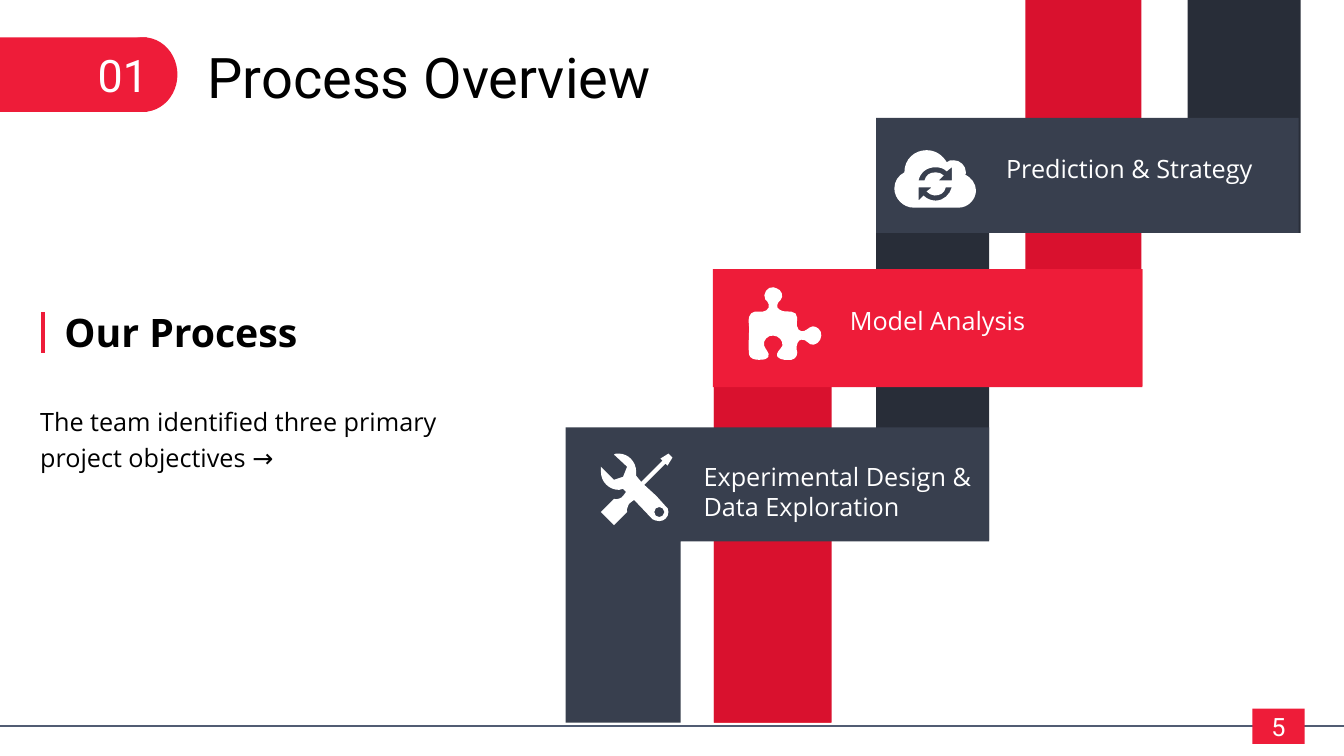
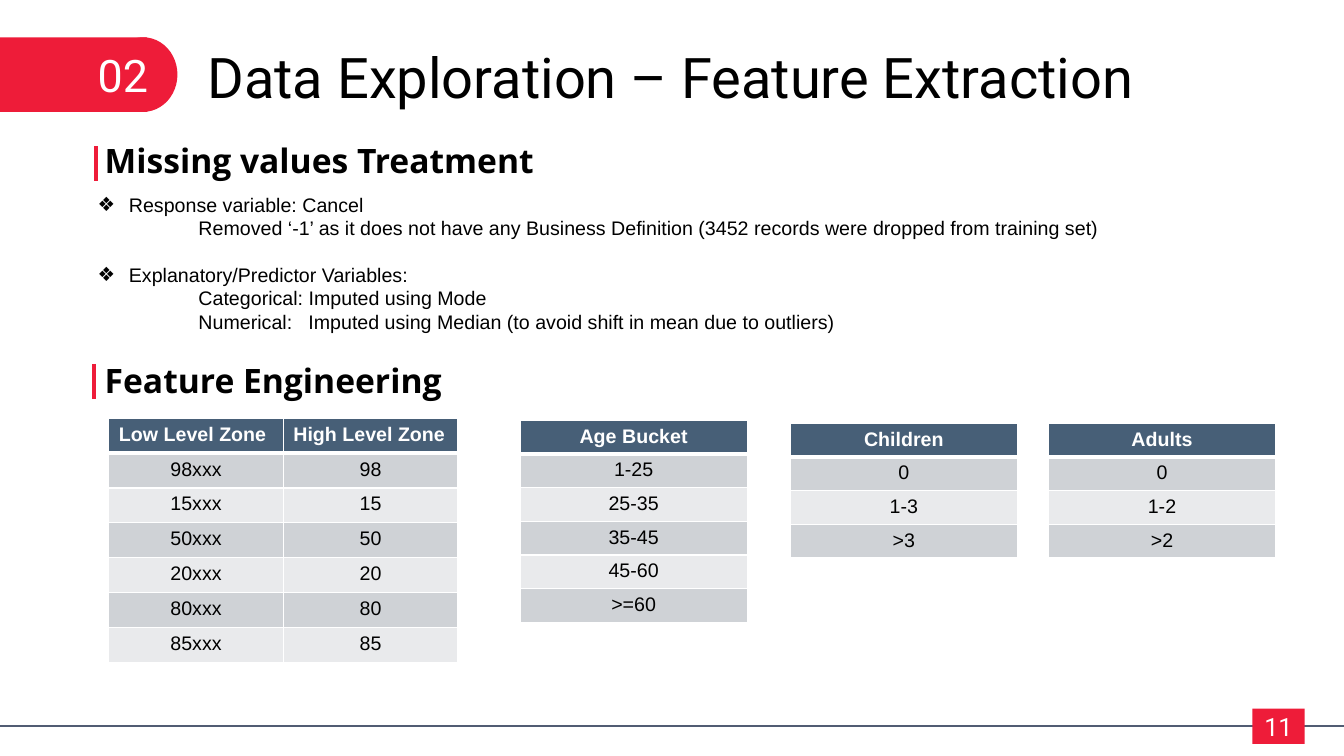
from lxml.etree import SubElement
from pptx import Presentation
from pptx.dml.color import RGBColor
from pptx.enum.shapes import MSO_CONNECTOR, MSO_SHAPE
from pptx.enum.text import MSO_ANCHOR, PP_ALIGN
from pptx.oxml.ns import qn
from pptx.util import Inches, Pt

RED = RGBColor(0xEE, 0x1C, 0x39)
CRIMSON = RGBColor(0xD9, 0x11, 0x2E)
SCARLET = RGBColor(0xE8, 0x2C, 0x2A)
SLATE = RGBColor(0x38, 0x3F, 0x4E)
NIGHT = RGBColor(0x28, 0x2D, 0x38)
RULE = RGBColor(0x51, 0x5C, 0x73)
HEAD = RGBColor(0x47, 0x5F, 0x77)
BANDS = RGBColor(0xCF, 0xD2, 0xD6), RGBColor(0xE9, 0xEA, 0xEC)
WHITE = RGBColor(255, 255, 255)
BLACK = RGBColor(0, 0, 0)
TITLE, BODY, PLAIN = "Roboto", "Open Sans", "Arial"
WIDE, HIGH = 13.33, 7.5

# Staircase, back to front: left, top, width, height, colour;
# an elbow adds the thickness of its upright and of its top arm
STAIRS = [
    (10.17, -0.03, 1.15, 3.86, CRIMSON),
    (7.08, 2.67, 4.25, 4.5, SCARLET, 1.16, 1.16),
    (7.08, 2.67, 1.17, 4.5, CRIMSON),
    (8.69, 1.18, 1.12, 4.18, NIGHT),
    (5.61, 4.24, 4.2, 2.93, SLATE, 1.14, 1.13),
    (11.78, -0.03, 1.12, 2.34, NIGHT),
    (8.69, 1.17, 4.19, 1.14, SLATE),
    (7.07, 2.67, 4.26, 1.17, RED),
]

# Icon outlines in hundredths of an inch: pairs are lines, sixes are curves
CLOUD = [
    [(32, 0), (20, 0, 10, 9, 10, 22), (4, 25, 0, 31, 0, 38),
     (0, 48, 9, 57, 19, 57), (64, 57), (73, 57, 81, 49, 81, 40),
     (81, 33, 76, 27, 70, 24), (71, 24, 71, 23, 71, 22),
     (71, 15, 65, 10, 59, 10), (56, 10, 54, 10, 52, 12),
     (48, 5, 41, 0, 32, 0)],
    [(41, 17), (45, 17, 49, 18, 52, 21), (57, 17), (57, 30), (44, 30),
     (49, 25), (47, 23, 44, 22, 41, 22), (35, 22, 31, 25, 30, 30),
     (24, 30), (26, 22, 32, 17, 41, 17)],
    [(24, 37), (37, 37), (32, 41), (34, 43, 37, 45, 40, 45),
     (46, 45, 50, 42, 51, 37), (57, 37), (55, 44, 49, 50, 41, 50),
     (36, 50, 32, 48, 29, 45), (24, 50)],
]
PUZZLE = [
    [(26, 1), (20, 0, 15, 8, 18, 13), (21, 15, 24, 21, 19, 24),
     (15, 27, 8, 23, 4, 27), (0, 31, 2, 37, 2, 41), (2, 50, 1, 59, 2, 68),
     (3, 72, 8, 73, 12, 73), (15, 73, 19, 73, 21, 70),
     (23, 66, 18, 63, 17, 59), (15, 54, 21, 48, 26, 49),
     (31, 49, 36, 54, 35, 59), (33, 63, 28, 66, 30, 70),
     (34, 74, 40, 73, 44, 73), (49, 72, 51, 67, 49, 62),
     (49, 59, 50, 53, 54, 53), (59, 52, 61, 59, 66, 58),
     (72, 57, 75, 50, 73, 45), (71, 41, 66, 38, 62, 41),
     (59, 43, 55, 47, 51, 43), (47, 38, 52, 32, 48, 27),
     (43, 23, 36, 27, 32, 23), (28, 21, 30, 16, 33, 14),
     (37, 10, 34, 3, 29, 2), (28, 1, 27, 1, 26, 1)],
]
TOOLS = [
    [(15, 0), (13, 1), (26, 13), (22, 23), (13, 26), (0, 13), (0, 18),
     (0, 28, 8, 36, 18, 36), (22, 35), (25, 38), (22, 42),
     (21, 44, 16, 46, 13, 45), (0, 58), (13, 71), (26, 58),
     (25, 56, 26, 55, 27, 52), (27, 50, 30, 48, 33, 46), (51, 65),
     (53, 66, 55, 67, 58, 67), (63, 67, 67, 63, 67, 58),
     (67, 55, 66, 53, 64, 52), (55, 42), (43, 31), (64, 10), (66, 12),
     (71, 4), (67, 0), (59, 5), (61, 7), (40, 28), (35, 22), (35, 18),
     (35, 8, 27, 0, 18, 0)],
    [(58, 53), (60, 53, 63, 55, 63, 58), (63, 61, 60, 63, 58, 63),
     (55, 63, 53, 61, 53, 58), (53, 55, 55, 53, 58, 53)],
]

# Label, its left and top, icon, its left and top
STEPS = [
    ("Experimental Design & Data Exploration", 6.88, 4.53, TOOLS, 5.96, 4.5),
    ("Model Analysis", 8.33, 2.98, PUZZLE, 7.41, 2.84),
    ("Prediction & Strategy", 9.88, 1.47, CLOUD, 8.87, 1.49),
]

NOTES = [
    ("Response variable: Cancel",
     ["Removed ‘-1’ as it does not have any Business Definition "
      "(3452 records were dropped from training set)"]),
    ("Explanatory/Predictor Variables:",
     ["Categorical: Imputed using Mode",
      "Numerical:\tImputed using Median (to avoid shift in mean due to outliers)"]),
]
TABS = 1, 2.09

# Left, top, column width, full height, rows
TABLES = [
    (1.08, 4.15, 1.73, 2.42,
     [("Low Level Zone", "High Level Zone")]
     + [(zone + "xxx", zone) for zone in ("98", "15", "50", "20", "80", "85")]),
    (5.16, 4.17, 2.25, 2,
     [("Age Bucket",), ("1-25",), ("25-35",), ("35-45",), ("45-60",), (">=60",)]),
    (7.84, 4.2, 2.25, 1.33, [("Children",), ("0",), ("1-3",), (">3",)]),
    (10.4, 4.2, 2.25, 1.33, [("Adults",), ("0",), ("1-2",), (">2",)]),
]


def paint(shape, color):
    shape.shadow.inherit = False
    shape.fill.solid()
    shape.fill.fore_color.rgb = color
    shape.line.fill.background()
    return shape


def block(slide, kind, box, color):
    return paint(slide.shapes.add_shape(kind, *map(Inches, box)), color)


def style(para, size, font, color=BLACK, bold=False):
    for run in para.runs:
        run.font.size, run.font.name, run.font.bold = Pt(size), font, bold
        run.font.color.rgb = color


def label(slide, box, text, size, font, color=BLACK, bold=False):
    frame = slide.shapes.add_textbox(*map(Inches, box)).text_frame
    frame.word_wrap = True
    frame.text = text
    style(frame.paragraphs[0], size, font, color, bold)
    return frame


def rule(slide, ends, color, width):
    line = slide.shapes.add_connector(MSO_CONNECTOR.STRAIGHT, *map(Inches, ends))
    line.line.color.rgb, line.line.width = color, Pt(width)
    SubElement(line._element.spPr, qn("a:effectLst"))


def heading(slide, box, text, size, bar, start, end):
    label(slide, box, text, size, BODY, bold=True)
    rule(slide, (bar, start, bar, end), RED, 3)


def base(deck, number, title, page):
    """Add a slide with the badge, title, footer rule and page number."""
    slide = deck.slides.add_slide(deck.slide_layouts[6])
    rule(slide, (-0.02, 7.2, WIDE, 7.2), RULE, 1.5)
    # A rounded-end badge: a bar plus a disc
    block(slide, MSO_SHAPE.RECTANGLE, (-0.02, 0.37, 1.48, 0.74), RED)
    block(slide, MSO_SHAPE.OVAL, (1.08, 0.37, 0.68, 0.74), RED)
    label(slide, (0.87, 0.42, 1.25, 0.64), number, 32, TITLE, WHITE)
    frame = block(slide, MSO_SHAPE.RECTANGLE, (12.42, 7.03, 0.52, 0.35), RED).text_frame
    frame.text = page
    frame.vertical_anchor = MSO_ANCHOR.MIDDLE
    frame.paragraphs[0].alignment = PP_ALIGN.CENTER
    style(frame.paragraphs[0], 18, TITLE, WHITE)
    label(slide, (1.96, 0.37, 9.78, 0.77), title, 40, TITLE)
    return slide


def elbow(slide, box, color, upright, arm):
    """Draw an L turned so that its upright is left and its arm on top."""
    left, top, width, height = box
    shift = (width - height) / 2
    turned = left + shift, top - shift, height, width
    shape = block(slide, MSO_SHAPE.CORNER, turned, color)
    shape.rotation = 90
    short = min(width, height)
    shape.adjustments[0], shape.adjustments[1] = upright / short, arm / short


def bend(shape, parts):
    """Turn each run of three lines that stands for a curve into one."""
    lines = shape._element.iter(qn("a:lnTo"))
    nodes = iter(list(lines))
    for part in parts:
        group = [next(nodes) for _ in range(len(part) // 2)]
        if len(group) == 3:
            group[0].tag = qn("a:cubicBezTo")
            for node in group[1:]:
                group[0].append(node[0])
                node.getparent().remove(node)


def icon(slide, outlines, left, top):
    pen = None
    for first, *parts in outlines:
        start, *points = [(Inches(part[i] / 100), Inches(part[i + 1] / 100))
                          for part in (first, *parts)
                          for i in range(0, len(part), 2)]
        if pen:
            pen.move_to(*start)
        else:
            pen = slide.shapes.build_freeform(*start)
        pen.add_line_segments(points, close=True)
    shape = paint(pen.convert_to_shape(Inches(left), Inches(top)), WHITE)
    bend(shape, [part for outline in outlines for part in outline[1:]])


def bullets(slide):
    frame = label(slide, (0.87, 1.86, WIDE - 0.87, 1.51), "", 14, PLAIN)
    for n, (point, details) in enumerate(NOTES):
        para = frame.add_paragraph() if n else frame.paragraphs[0]
        para.text = point
        if n:
            para.space_before = Pt(16.5)
        props = para._p.get_or_add_pPr()
        props.set("marL", str(Inches(0.31)))
        props.set("indent", str(-Inches(0.31)))
        SubElement(props, qn("a:buFont"), typeface=PLAIN)
        SubElement(props, qn("a:buChar"), char="❖")
        for detail in details:
            para = frame.add_paragraph()
            para.text = "\t" + detail
            stops = SubElement(para._p.get_or_add_pPr(), qn("a:tabLst"))
            for stop in TABS:
                SubElement(stops, qn("a:tab"), pos=str(Inches(stop)), algn="l")
    for para in frame.paragraphs:
        style(para, 14, PLAIN)


def border(cell, row):
    """Draw white edges, thicker between the header and the first row."""
    thick = {0: "B", 1: "T"}.get(row)
    for side in "LRTB":
        width = Pt(3 if side == thick else 1)
        line = SubElement(cell._tc.get_or_add_tcPr(), qn("a:ln" + side), w=str(width))
        fill = SubElement(line, qn("a:solidFill"))
        SubElement(fill, qn("a:srgbClr"), val=str(WHITE))


def grid(slide, left, top, width, height, rows):
    cols = len(rows[0])
    box = left, top, width * cols, height
    table = slide.shapes.add_table(len(rows), cols, *map(Inches, box)).table
    for r, row in enumerate(rows):
        for c, text in enumerate(row):
            cell = table.cell(r, c)
            border(cell, r)
            cell.fill.solid()
            cell.fill.fore_color.rgb = BANDS[(r - 1) % 2] if r else HEAD
            cell.text = text
            para = cell.text_frame.paragraphs[0]
            if r or cols == 1:
                para.alignment = PP_ALIGN.CENTER
            style(para, 14, PLAIN, BLACK if r else WHITE, r == 0)


def process(deck):
    slide = base(deck, "01", "Process Overview", "5")
    for left, top, width, height, color, *arms in STAIRS:
        box = left, top, width, height
        if arms:
            elbow(slide, box, color, *arms)
        else:
            block(slide, MSO_SHAPE.RECTANGLE, box, color)
    for text, left, top, outlines, x, y in STEPS:
        icon(slide, outlines, x, y)
        label(slide, (left, top, 3.02, 0.64), text, 18, BODY, WHITE)
    heading(slide, (0.54, 3.01, 4.18, 0.57), "Our Process", 28, 0.43, 3.1, 3.5)
    frame = label(slide, (0.3, 3.92, 4.6, 2.06),
                  "The team identified three primary project objectives →", 18, BODY)
    frame.paragraphs[0].line_spacing = 1.2


def features(deck):
    slide = base(deck, "02", "Data Exploration – Feature Extraction", "11")
    heading(slide, (0.94, 1.34, 11.02, 0.57), "Missing values Treatment", 24,
            0.95, 1.45, 1.8)
    bullets(slide)
    heading(slide, (0.94, 3.52, 11.02, 0.57), "Feature Engineering", 24,
            0.93, 3.61, 3.96)
    for table in TABLES:
        grid(slide, *table)


def main():
    deck = Presentation()
    deck.slide_width, deck.slide_height = Inches(WIDE), Inches(HIGH)
    process(deck)
    features(deck)
    deck.save("out.pptx")


if __name__ == "__main__":
    main()
